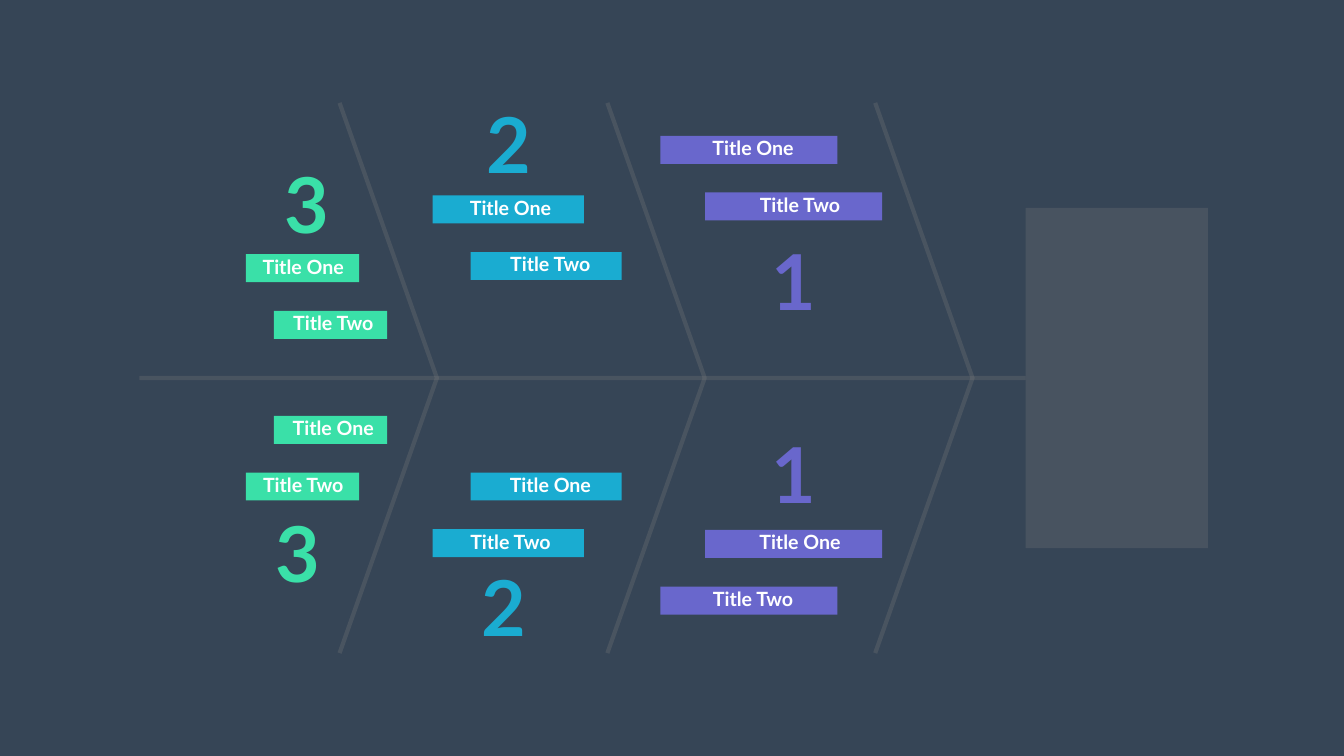
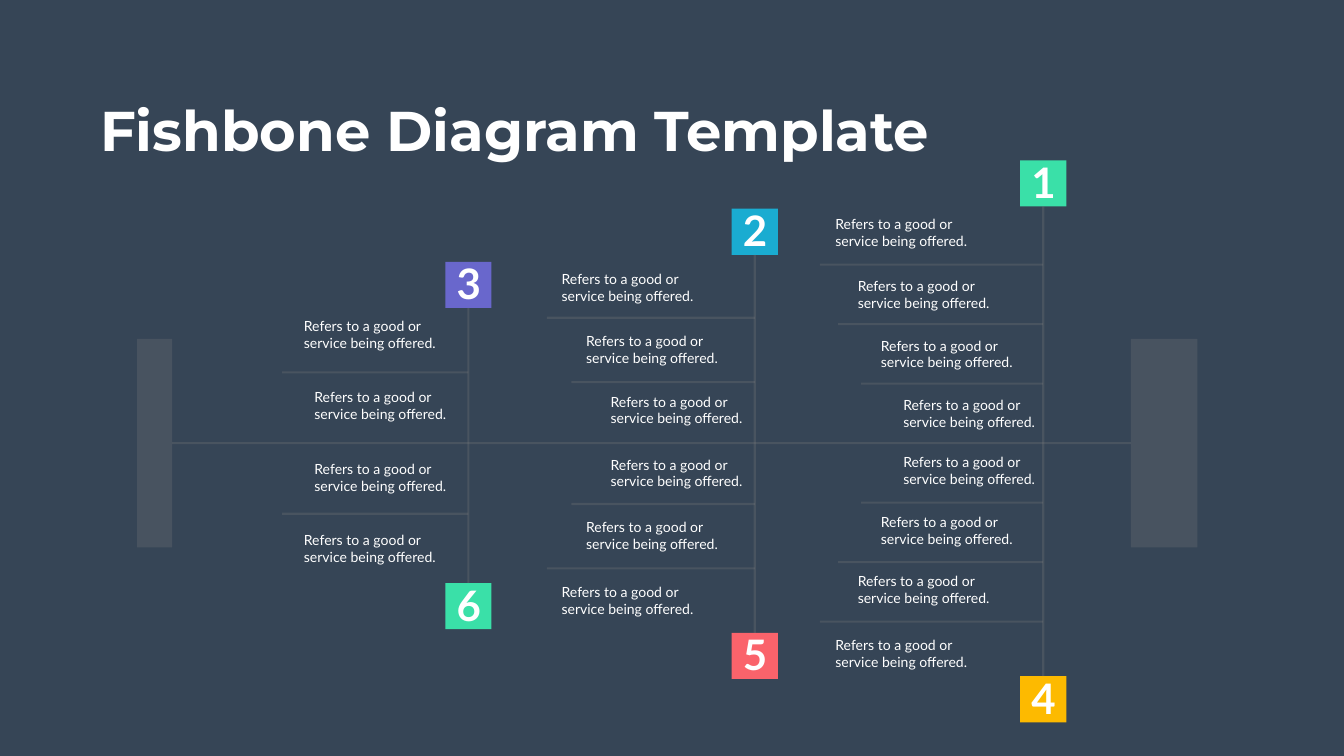
from pptx import Presentation
from pptx.dml.color import RGBColor
from pptx.enum.shapes import MSO_CONNECTOR as Link, MSO_SHAPE as Kind
from pptx.enum.text import MSO_AUTO_SIZE as Fit, PP_ALIGN as Align
from pptx.oxml.ns import qn
from pptx.util import Pt
from lxml.etree import SubElement

BACK, GREY, WHITE = "364556", "808080", "FFFFFF"
GREEN, BLUE, PURPLE = "3AE0A8", "1AACD1", "6967CC"
RED, GOLD = "FA636B", "FDBA00"
TEXT, HEAD = "Lato", "Montserrat"
TOP, LEFT, BOTTOM, RIGHT = range(4)
NOTE = "Refers to a good or service being offered."


def paint(color, value):
    color.rgb = RGBColor.from_string(value)


def fade(shape):
    for node in shape._element.spPr.iter(qn("a:srgbClr")):
        SubElement(node, qn("a:alpha")).set("val", "25000")


def add_slide(deck):
    slide = deck.slides.add_slide(deck.slide_layouts[6])
    fill = slide.background.fill
    fill.solid()
    paint(fill.fore_color, BACK)
    return slide


def add_box(slide, x, y, w, h, color):
    box = slide.shapes.add_shape(Kind.RECTANGLE, Pt(x), Pt(y), Pt(w), Pt(h))
    box.shadow.inherit = False
    box.fill.solid()
    paint(box.fill.fore_color, color)
    box.line.fill.background()
    return box


def add_block(slide, x, y, w, h):
    block = add_box(slide, x, y, w, h, GREY)
    fade(block)
    return block


def add_line(slide, x1, y1, x2, y2, width, start=None, end=None):
    line = slide.shapes.add_connector(
        Link.STRAIGHT, Pt(x1), Pt(y1), Pt(x2), Pt(y2))
    if start:
        line.begin_connect(*start)
    if end:
        line.end_connect(*end)
    line.line.width = Pt(width)
    paint(line.line.color, GREY)
    fade(line)
    SubElement(line._element.spPr, qn("a:effectLst"))


def add_rib(slide, x, y, dx, dy):
    path_pen = slide.shapes.build_freeform(Pt(x), Pt(y - dy))
    path_pen.add_line_segments(
        [(Pt(x + dx), Pt(y)), (Pt(x), Pt(y + dy))], close=False)
    rib = path_pen.convert_to_shape()
    rib.shadow.inherit = False
    rib.fill.background()
    rib.line.width = Pt(6)
    paint(rib.line.color, GREY)
    fade(rib)


def add_text(slide, x, y, w, h, words, size, color=WHITE, bold=True,
             align=Align.LEFT, font=TEXT, wrap=True):
    frame = slide.shapes.add_textbox(Pt(x), Pt(y), Pt(w), Pt(h)).text_frame
    frame.word_wrap = wrap
    frame.auto_size = Fit.SHAPE_TO_FIT_TEXT
    para = frame.paragraphs[0]
    para.alignment = align
    run = para.add_run()
    run.text = words
    run.font.name = font
    run.font.size = Pt(size)
    run.font.bold = bold
    paint(run.font.color, color)


def add_bar(slide, x, y, w, color, words, shift):
    add_box(slide, x, y, w, 40, color)
    add_text(slide, x + w / 2 - 77 + shift, y - 3, 154, 41, words, 28,
             align=Align.CENTER)


def add_pair(slide, xs, y, w, color, shifts):
    for i, words in enumerate(("Title One", "Title Two")):
        add_bar(slide, xs[i], y + 81 * i, w, color, words, shifts[i])


def add_tile(slide, mid, y, color, digit):
    tile = add_box(slide, mid - 33, y, 66, 66, color)
    add_text(slide, mid - 24, y - 9, 42.5, 79, digit, 60)
    return tile


def add_bones(deck):
    slide = add_slide(deck)
    axis = 540
    head = add_block(slide, 1465, axis - 243, 260, 486)
    add_line(slide, 199, axis, 1465, axis, 6, end=(head, LEFT))
    for i in range(3):
        add_rib(slide, 485 + 382.5 * i, axis, 139, 393)

    groups = [
        (GREEN, 162, 351, 391, 363, 594, 1),
        (BLUE, 216, 618, 672, 279, 675, 3),
        (PURPLE, 253, 943, 1007, 194, 757, 6),
    ]
    for color, w, out, near, high, low, shift in groups:
        add_pair(slide, (out, near), high, w, color, (shift, shift + 3))
        add_pair(slide, (near, out), low, w, color, (shift + 3, shift))

    digits = [
        ("3", GREEN, 399, 220), ("3", GREEN, 387, 718),
        ("2", BLUE, 688, 134), ("2", BLUE, 681, 796),
        ("1", PURPLE, 1095, 330), ("1", PURPLE, 1095, 606),
    ]
    for digit, color, x, y in digits:
        add_text(slide, x, y, 75, 140, digit, 110, color, align=Align.CENTER)


def add_comb(slide, axis, mid, high, low, ribs, notes):
    upper = add_tile(slide, mid, *high)
    lower = add_tile(slide, mid, *low)
    add_line(slide, mid, low[0], mid, high[0] + 66, 3,
             (lower, TOP), (upper, BOTTOM))
    for x, gap in ribs:
        for y in (axis - gap, axis + gap):
            add_line(slide, mid, y, x, y, 3)
    for x, *tops in notes:
        for y in tops:
            add_text(slide, x, y, 205, 55, NOTE, 20, bold=False)


def add_template(deck):
    slide = add_slide(deck)
    axis = 633
    tail = add_block(slide, 196, axis - 149, 50, 298)
    head = add_block(slide, 1615, axis - 149, 95, 298)
    add_line(slide, 246, axis, 1615, axis, 3, (tail, RIGHT), (head, LEFT))
    add_comb(slide, axis, 669, (374, PURPLE, "3"), (833, GREEN, "6"),
             [(403, 101)],
             [(427, 450, 756), (442, 552, 654)])
    add_comb(slide, axis, 1078, (298, BLUE, "2"), (904, RED, "5"),
             [(781, 179), (816, 87)],
             [(795, 383, 830), (830, 472, 737), (865, 558, 648)])
    add_comb(slide, axis, 1490, (229, GREEN, "1"), (966, GOLD, "4"),
             [(1171, 255), (1197, 170), (1230, 85)],
             [(1186, 304, 906), (1218, 393, 815),
              (1251, 478, 730), (1283, 563, 644)])
    add_text(slide, 136, 133, 1203, 104, "Fishbone Diagram Template", 80,
             font=HEAD, wrap=False)


def main():
    deck = Presentation()
    deck.slide_width = Pt(1919.52)
    deck.slide_height = Pt(1080)
    add_bones(deck)
    add_template(deck)
    deck.save("out.pptx")


if __name__ == "__main__":
    main()
